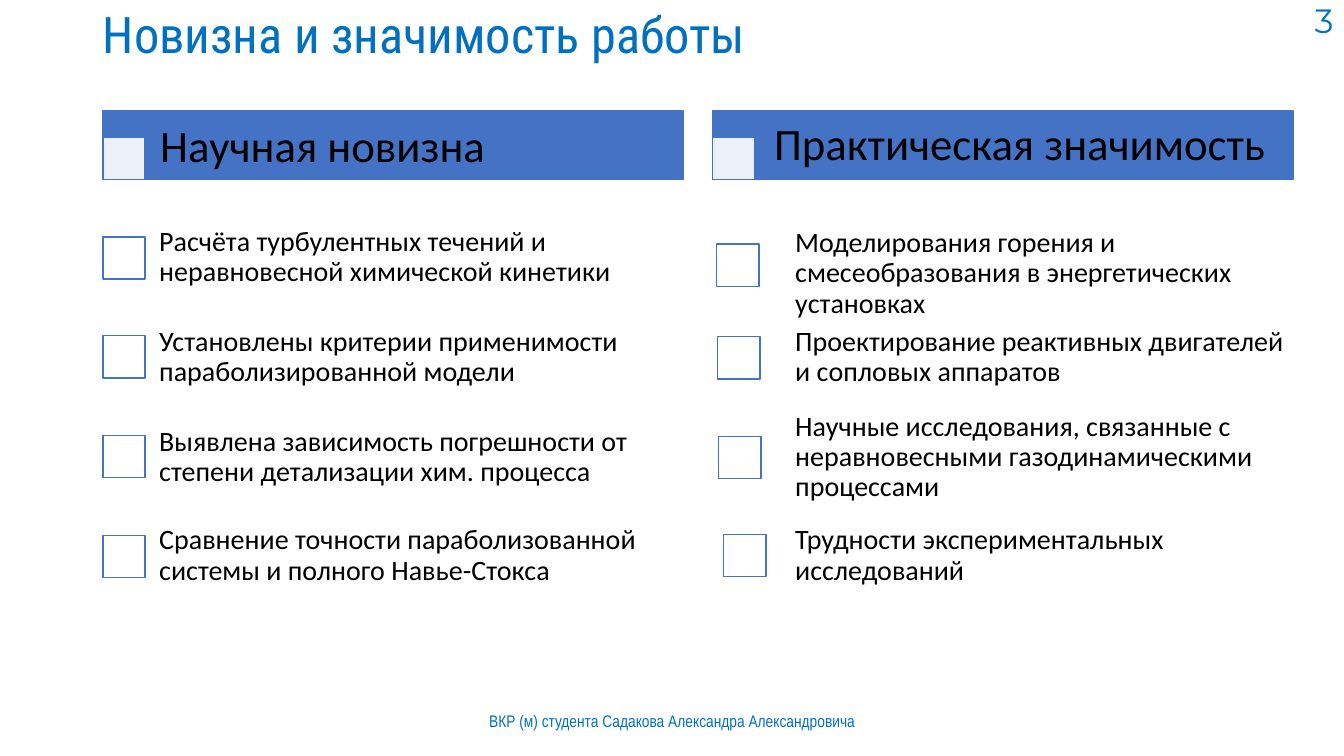
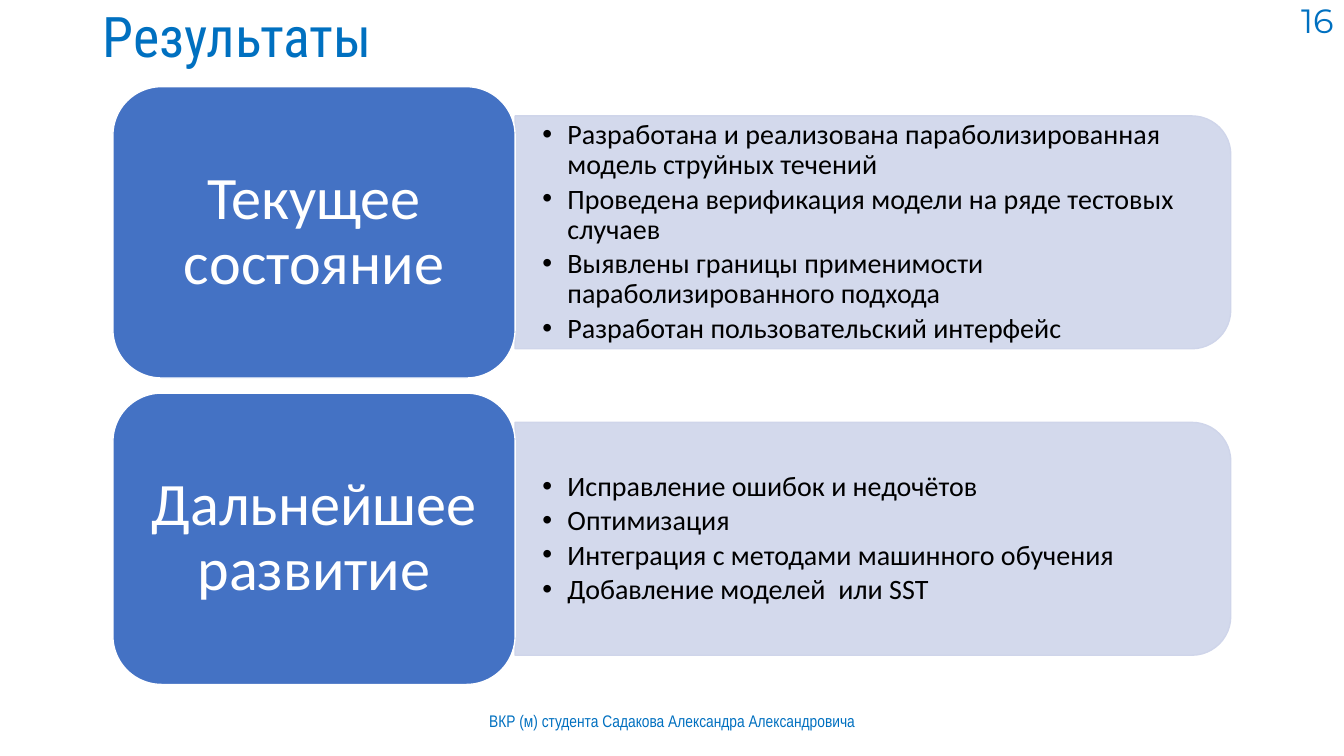
"""Builds two thesis slides: novelty and significance, then results."""
from dataclasses import dataclass

from lxml import etree
from pptx import Presentation
from pptx.dml.color import RGBColor
from pptx.enum.shapes import MSO_SHAPE
from pptx.enum.text import MSO_ANCHOR, MSO_AUTO_SIZE, PP_ALIGN
from pptx.oxml.ns import qn
from pptx.util import Emu, Pt

RECT = MSO_SHAPE.RECTANGLE
ROUND = MSO_SHAPE.ROUNDED_RECTANGLE
ROUND_TOP = MSO_SHAPE.ROUND_2_SAME_RECTANGLE
MIDDLE = MSO_ANCHOR.MIDDLE
NO_FIT = MSO_AUTO_SIZE.NONE
LEFT, CENTER, RIGHT = PP_ALIGN.LEFT, PP_ALIGN.CENTER, PP_ALIGN.RIGHT
TITLE_ONLY, TWO_CONTENT = 5, 3
PX = 9144
WIDTH, HEIGHT = 1333, 750

FOOTER = "ВКР (м) студента Садакова Александра Александровича"

NOVELTY = {
    "title": "Новизна и значимость работы", "number": "3",
    "title_box": (92, 0, 1150, 74), "title_size": 36,
    "columns": [
        {"head": "Научная новизна", "left": 102, "head_inset": (57, 6, 7, 0),
         "text_left": 142,
         "items": [
             ("Расчёта турбулентных течений и неравновесной химической кинетики", (102, 235), 206),
             ("Установлены критерии применимости параболизированной модели", (102, 333), 305),
             ("Выявлена зависимость погрешности от степени детализации хим. процесса", (102, 432), 404),
             ("Сравнение точности параболизованной системы и полного Навье-Стокса", (102, 531), 502),
         ]},
        {"head": "Практическая значимость", "left": 707, "head_inset": (61, 2, 7, 0),
         "text_left": 773,
         "items": [
             ("Моделирования горения и смесеобразования в энергетических установках", (711, 242), 222),
             ("Проектирование реактивных двигателей и сопловых аппаратов", (712, 334), 305),
             ("Научные исследования, связанные с неравновесными газодинамическими процессами",
              (713, 433), 404),
             ("Трудности экспериментальных исследований", (718, 530), 502),
         ]},
    ],
}

RESULTS = {
    "title": "Результаты", "number": "16",
    "title_box": (92, 2, 1150, 75), "title_size": 40,
    "blocks": [
        ("Текущее состояние", [
            "Разработана и реализована параболизированная модель струйных течений",
            "Проведена верификация модели на ряде тестовых случаев",
            "Выявлены границы применимости параболизированного подхода",
            "Разработан пользовательский интерфейс"]),
        ("Дальнейшее развитие", [
            "Исправление ошибок и недочётов",
            "Оптимизация",
            "Интеграция с методами машинного обучения",
            "Добавление моделей  или SST"]),
    ],
}


@dataclass(frozen=True)
class Theme:
    """Colours, fonts and type sizes."""
    title: str = "0070C0"
    accent: str = "4472C4"
    panel: str = "CFD5EA"
    white: str = "FFFFFF"
    black: str = "000000"
    title_font: str = "Roboto Condensed"
    body_font: str = "Calibri"
    footer_font: str = "Arial Narrow"
    number_font: str = "Montserrat"
    footer_size: int = 12
    number_size: int = 24
    body_size: int = 20
    head_size: int = 32
    block_size: int = 43


T = Theme()
BODY = {"name": T.body_font, "size": T.body_size, "color": T.black}


def px(*values):
    return [Emu(round(v * PX)) for v in values]


def place(sp, box):
    for name, value in zip(("left", "top", "width", "height"), px(*box)):
        setattr(sp, name, value)


def write(sp, lines, fmt, align=LEFT, inset=(10, 5, 10, 5), line=0.9, after=0, bullet=False):
    tf = sp.text_frame
    sides = ("margin_left", "margin_top", "margin_right", "margin_bottom")
    frame = dict(zip(sides, px(*inset)), word_wrap=True, auto_size=NO_FIT, vertical_anchor=MIDDLE)
    for name, value in frame.items():
        setattr(tf, name, value)
    for i, text in enumerate(lines):
        p = tf.add_paragraph() if i else tf.paragraphs[0]
        para = {"alignment": align, "line_spacing": line,
                "space_before": Pt(0), "space_after": Pt(after)}
        for name, value in para.items():
            setattr(p, name, value)
        if bullet:
            pPr = p._p.get_or_add_pPr()
            pPr.set("marL", str(25 * PX))
            pPr.set("indent", str(-25 * PX))
            etree.SubElement(pPr, qn("a:buChar")).set("char", "•")
        r = p.add_run()
        r.text = text
        r.font.name = fmt["name"]
        r.font.size = Pt(fmt["size"])
        r.font.color.rgb = RGBColor.from_string(fmt["color"])


def add_box(s, kind, box, fill, line, opacity=100):
    sp = s.shapes.add_shape(kind, *px(*box))
    sp.shadow.inherit = False
    sp.fill.solid()
    sp.fill.fore_color.rgb = RGBColor.from_string(fill)
    sp.line.color.rgb = RGBColor.from_string(line)
    sp.line.width = Pt(1)
    if opacity < 100:
        color = sp._element.spPr.find(qn("a:solidFill"))[0]
        etree.SubElement(color, qn("a:alpha")).set("val", str(opacity * 1000))
    return sp


def add_text(s, box, text, fmt, **layout):
    write(s.shapes.add_textbox(*px(*box)), [text], fmt, **layout)


def start_slide(prs, layout, data):
    s = prs.slides.add_slide(prs.slide_layouts[layout])
    place(s.shapes.title, data["title_box"])
    write(s.shapes.title, [data["title"]],
          {"name": T.title_font, "size": data["title_size"], "color": T.title})
    add_text(s, (442, 695, 450, 40), FOOTER,
             {"name": T.footer_font, "size": T.footer_size, "color": T.title},
             align=CENTER, line=1.0)
    add_text(s, (1033, 0, 300, 40), data["number"],
             {"name": T.number_font, "size": T.number_size, "color": T.title},
             align=RIGHT, line=1.0)
    return s


def build_novelty(prs):
    s = start_slide(prs, TITLE_ONLY, NOVELTY)
    check = 42
    for col in NOVELTY["columns"]:
        bar = add_box(s, RECT, (col["left"], 110, 576, 68), T.accent, T.accent)
        write(bar, [col["head"]], {**BODY, "size": T.head_size}, inset=col["head_inset"])
        add_box(s, RECT, (col["left"], 136, check, check), T.white, T.accent, opacity=90)
        for text, corner, top in col["items"]:
            add_box(s, RECT, (*corner, check, check), T.white, T.accent)
            add_text(s, (col["text_left"], top, 536, 99), text, BODY, inset=(16,) * 4)


def build_results(prs):
    s = start_slide(prs, TWO_CONTENT, RESULTS)
    left, top, width, height, gap = 112, 86, 399, 289, 15
    panel_w, panel_h = 710, 231
    bodies = [ph for ph in s.placeholders if ph.placeholder_format.idx > 0]
    for i, (head, items) in enumerate(RESULTS["blocks"]):
        y = top + i * (height + gap)
        mid_x, mid_y = left + width + panel_w / 2, y + height / 2
        panel = add_box(s, ROUND_TOP,
                        (mid_x - panel_h / 2, mid_y - panel_w / 2, panel_h, panel_w),
                        T.panel, T.panel, opacity=90)
        panel.rotation = 90
        body = bodies[i]
        place(body, (left + width, y + 40, 698, 209))
        write(body, items, BODY, inset=(27, 14, 27, 14), after=3, bullet=True)
        panel._element.addnext(body._element)
        block = add_box(s, ROUND, (left, y, width, height), T.accent, T.white)
        write(block, [head], {**BODY, "size": T.block_size, "color": T.white},
              align=CENTER, inset=(18, 9, 18, 9))


def main():
    prs = Presentation()
    prs.slide_width, prs.slide_height = px(WIDTH + 1 / 3, HEIGHT)
    build_novelty(prs)
    build_results(prs)
    prs.save("out.pptx")


if __name__ == "__main__":
    main()
